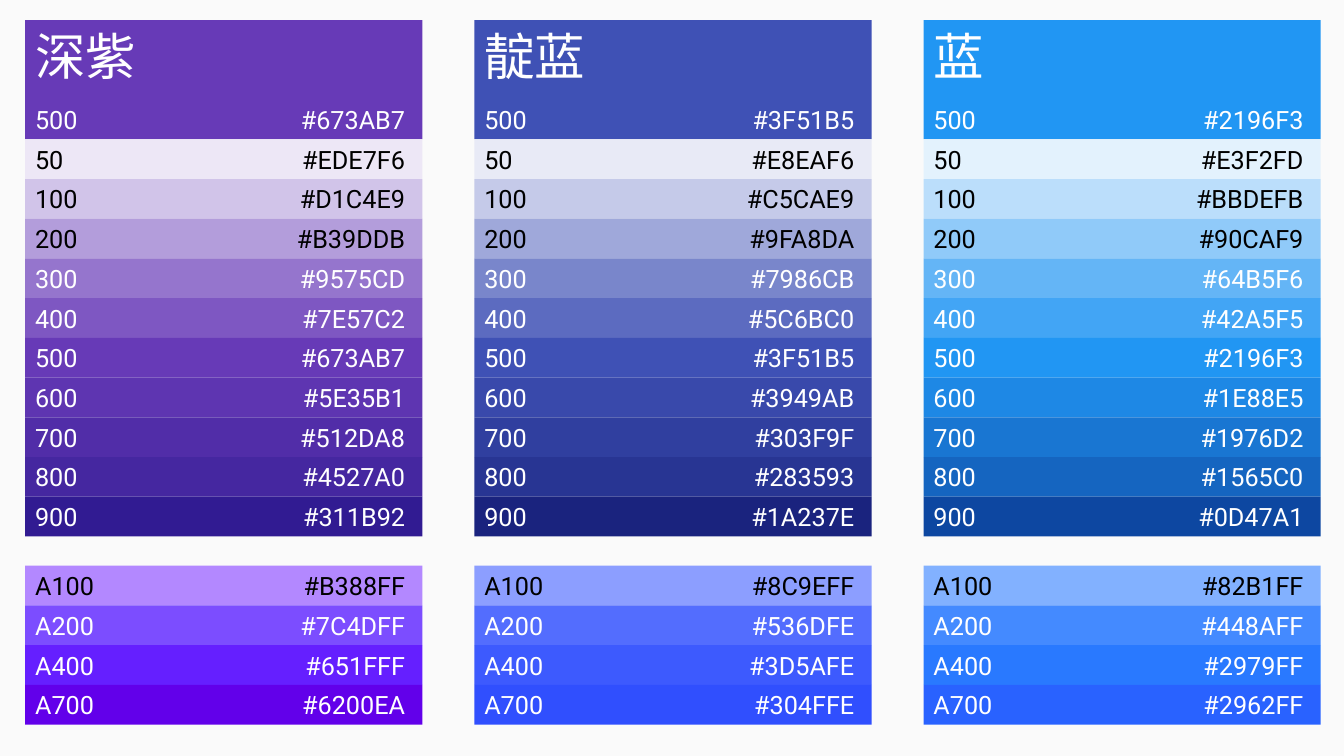
from pptx import Presentation
from pptx.dml.color import RGBColor
from pptx.enum import shapes, text
from pptx.oxml import xmlchemy
from pptx.oxml.ns import qn
from pptx.util import Inches, Pt

# Content: each palette lists its codes in the order of the shade names
SHADES = ["50", "100", "200", "300", "400", "500", "600", "700", "800", "900"]
ACCENTS = ["A100", "A200", "A400", "A700"]
DARK_TEXT = {"50", "100", "200", "A100"}
PALETTES = [
    ("深紫",
     "EDE7F6 D1C4E9 B39DDB 9575CD 7E57C2 673AB7 5E35B1 512DA8 4527A0 311B92",
     "B388FF 7C4DFF 651FFF 6200EA"),
    ("靛蓝",
     "E8EAF6 C5CAE9 9FA8DA 7986CB 5C6BC0 3F51B5 3949AB 303F9F 283593 1A237E",
     "8C9EFF 536DFE 3D5AFE 304FFE"),
    ("蓝",
     "E3F2FD BBDEFB 90CAF9 64B5F6 42A5F5 2196F3 1E88E5 1976D2 1565C0 0D47A1",
     "82B1FF 448AFF 2979FF 2962FF"),
]
THEME = {
    "background": "FAFAFA", "light": "FFFFFF", "dark": "000000",
    "label_font": "Roboto", "label_size": 18,
    "title_font": "Noto Sans CJK SC", "title_size": 36,
}

# Grid, in inches
WIDTH, HEIGHT = 13.33, 7.5
FIRST_LEFT, LAST_LEFT, TOP = 0.25, 9.16, 0.2
COLUMN = 3.94
ROW = COLUMN / 10
HEADER_ROWS = 3
GROUP_GAP = 0.29
CODE_TAB = 3.67
TITLE_WIDTH, TITLE_HEIGHT = 1.26, 0.71


def write(box, words, font, size, color, anchor, tab=None):
    """Put one left-aligned paragraph in a box, with an optional right tab."""
    frame = box.text_frame
    frame.word_wrap = True
    frame.vertical_anchor = anchor
    para = frame.paragraphs[0]
    para.alignment = text.PP_ALIGN.LEFT
    if tab:
        stops = xmlchemy.OxmlElement("a:tabLst")
        stop = xmlchemy.OxmlElement("a:tab")
        stop.set("pos", str(Inches(tab)))
        stop.set("algn", "r")
        stops.append(stop)
        para._p.get_or_add_pPr().append(stops)
    span = para.add_run()
    span.text = words
    span.font.name = font
    span.font.size = Pt(size)
    span.font.color.rgb = RGBColor.from_string(color)
    east_asian = xmlchemy.OxmlElement("a:ea")
    east_asian.set("typeface", font)
    span.font._element.find(qn("a:latin")).addnext(east_asian)


def add_swatch(page, left, top, name, code, rows=1,
               anchor=text.MSO_ANCHOR.MIDDLE):
    """Draw a filled bar with its shade name and colour code."""
    bar = page.shapes.add_shape(
        shapes.MSO_SHAPE.RECTANGLE, Inches(left), Inches(top),
        Inches(COLUMN), Inches(rows * ROW))
    bar.shadow.inherit = False
    bar.fill.solid()
    bar.fill.fore_color.rgb = RGBColor.from_string(code)
    bar.line.fill.background()
    color = THEME["dark" if name in DARK_TEXT else "light"]
    write(bar, f"{name}\t#{code}", THEME["label_font"], THEME["label_size"],
          color, anchor, CODE_TAB)


deck = Presentation()
deck.slide_width, deck.slide_height = Inches(WIDTH), Inches(HEIGHT)
page = deck.slides.add_slide(deck.slide_layouts[6])
page.background.fill.solid()
page.background.fill.fore_color.rgb = RGBColor.from_string(THEME["background"])

for column, (title, shade_codes, accent_codes) in enumerate(PALETTES):
    left = FIRST_LEFT + column * (LAST_LEFT - FIRST_LEFT) / (len(PALETTES) - 1)
    shades = list(zip(SHADES, shade_codes.split()))
    accents = list(zip(ACCENTS, accent_codes.split()))

    # Header with the main shade and the palette title
    add_swatch(page, left, TOP, "500", dict(shades)["500"], HEADER_ROWS,
               text.MSO_ANCHOR.BOTTOM)
    box = page.shapes.add_textbox(Inches(left), Inches(TOP),
                                  Inches(TITLE_WIDTH), Inches(TITLE_HEIGHT))
    write(box, title, THEME["title_font"], THEME["title_size"],
          THEME["light"], text.MSO_ANCHOR.TOP)

    # Shades, then accents below a gap
    shades_top = TOP + HEADER_ROWS * ROW
    accents_top = shades_top + len(shades) * ROW + GROUP_GAP
    for group_top, group in ((shades_top, shades), (accents_top, accents)):
        for row, (name, code) in enumerate(group):
            add_swatch(page, left, group_top + row * ROW, name, code)

deck.save("out.pptx")
